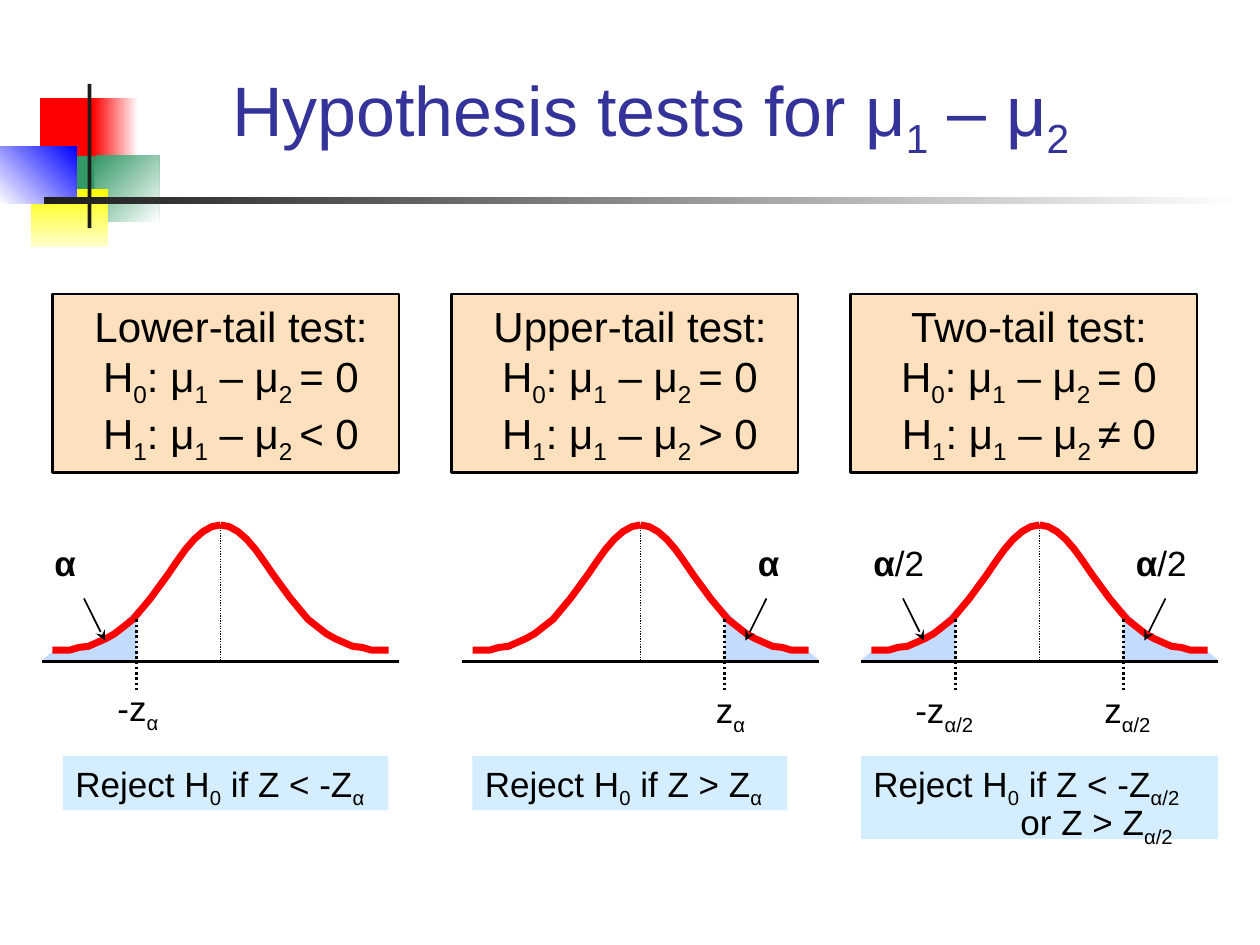
from dataclasses import dataclass

import pptx
import pptx.dml.color
import pptx.enum.dml
import pptx.enum.shapes
import pptx.enum.text
import pptx.oxml
import pptx.oxml.ns
import pptx.util

Pt = pptx.util.Pt
Align = pptx.enum.text.PP_ALIGN
Dash = pptx.enum.dml.MSO_LINE


@dataclass(frozen=True)
class Theme:
    font: str = "Arial"
    title_size: float = 40
    hypothesis_size: float = 24
    note_size: float = 20
    title: str = "333399"
    ink: str = "000000"
    hypothesis: str = "FDE0BD"
    tail: str = "C3DBFF"
    curve: str = "FF0000"
    rule: str = "D5EEFF"


@dataclass(frozen=True)
class Block:
    left: float
    top: float
    width: float
    height: float
    colors: tuple[str, ...]
    angle: float = 0


@dataclass(frozen=True)
class Tail:
    side: int
    area: str
    area_left: float
    area_width: float
    arrow: float
    cutoff: str
    cutoff_left: float
    cutoff_top: float = 390


@dataclass(frozen=True)
class Test:
    name: str
    relation: str
    card_left: float
    center: float
    tails: tuple[Tail, ...]
    rule: str
    rule_left: float
    rule_width: float
    rule_height: float = 31
    second_rule: str = ""


THEME = Theme()
AXIS_Y, PEAK_Y, AXIS_REACH, CUTOFF = 378, 300, 102, 48
BELL = [(96, 371.5), (86, 371.5), (81, 370), (75.5, 369.4), (70.5, 367.2), (65.5, 365),
        (60.5, 362.2), (50, 354), (40, 342), (30, 328.3), (25, 321), (20, 314),
        (15, 308.2), (10, 303.8), (5, 301), (0, PEAK_Y)]
TAIL_AREA = [(AXIS_REACH, 377.3), (97, 373), (79, 369.4), (70, 365.8), (59, 359.3),
             (CUTOFF, 347.8), (CUTOFF, AXIS_Y), (AXIS_REACH, AXIS_Y)]
EMBLEM = [
    Block(23, 56, 35, 37.5, ("FF0000",)),
    Block(53, 56, 26, 37.5, ("FF0000", "FFFFFF")),
    Block(54, 89, 37, 37.5, ("339966", "FFFFFF"), 315),
    Block(31, 89, 23, 37.5, ("339966",)),
    Block(18, 108, 44, 33, ("FFFF00", "FFFFCC"), 270),
    Block(0, 83.5, 44, 33, ("FFFFFF", "0000FF"), 45),
    Block(50, 48, 2.3, 82.5, ("1C1C1C",)),
    Block(25, 112.5, 685, 4.2, ("1C1C1C", "FFFFFF")),
]
TESTS = [
    Test("Lower-tail test:", "< 0", 30, 126,
         (Tail(-1, "*α*", 24, 30, 78, "-z~α~", 60, 389),),
         "Reject H~0~ if Z < -Z~α~", 36, 186),
    Test("Upper-tail test:", "> 0", 258, 366,
         (Tail(1, "*α*", 426, 30, 72, "z~α~", 402),),
         "Reject H~0~ if Z > Z~α~", 270, 180),
    Test("Two-tail test:", "≠ 0", 486, 594,
         (Tail(-1, "*α*/2", 492, 66, 78, "-z~α/2~", 516),
          Tail(1, "*α*/2", 642, 66, 72, "z~α/2~", 624)),
         "Reject H~0~ if Z < -Z~α/2~", 492, 204, 47.5, "or Z > Z~α/2~"),
]


def rgb(color: str):
    return pptx.dml.color.RGBColor.from_string(color)


def write(paragraph, text: str, *, size: float, color: str = THEME.ink,
          align=Align.LEFT, before: float = 0, indent: float = 0, leading: float = 0) -> None:
    paragraph.alignment = align
    paragraph.space_before = Pt(before)
    if leading:
        paragraph.line_spacing = Pt(leading)
    if indent:
        paragraph._p.get_or_add_pPr().set("marL", str(Pt(indent)))
    for sub_index, section in enumerate(text.split("~")):
        for bold_index, words in enumerate(section.split("*")):
            if words:
                run = paragraph.add_run()
                run.text = words
                run.font.name = THEME.font
                run.font.size = Pt(size)
                run.font.bold = bold_index % 2 == 1
                run.font.color.rgb = rgb(color)
                if sub_index % 2:
                    run._r.get_or_add_rPr().set("baseline", "-25000")


def text_frame(slide, left: float, top: float, width: float, height: float):
    frame = slide.shapes.add_textbox(Pt(left), Pt(top), Pt(width), Pt(height)).text_frame
    frame.word_wrap = True
    return frame


def draw_block(slide, block: Block):
    shape = slide.shapes.add_shape(pptx.enum.shapes.MSO_SHAPE.RECTANGLE, Pt(block.left),
                                   Pt(block.top), Pt(block.width), Pt(block.height))
    shape.shadow.inherit = False
    shape.line.fill.background()
    if len(block.colors) == 1:
        shape.fill.solid()
        shape.fill.fore_color.rgb = rgb(block.colors[0])
    else:
        shape.fill.gradient()
        shape.fill.gradient_angle = block.angle
        for stop, color in zip(shape.fill.gradient_stops, block.colors):
            stop.color.rgb = rgb(color)
    return shape


def draw_line(slide, start: tuple, end: tuple, weight: float, dash=None, arrow=False) -> None:
    line = slide.shapes.add_connector(pptx.enum.shapes.MSO_CONNECTOR.STRAIGHT,
                                      *map(Pt, start + end))
    line.line.color.rgb = rgb(THEME.ink)
    line.line.width = Pt(weight)
    if dash:
        line.line.dash_style = dash
    if arrow:
        head = pptx.oxml.ns.qn("a:tailEnd")
        line.line._get_or_add_ln().makeelement(head, {})
        line.line._get_or_add_ln().append(
            line.line._get_or_add_ln().makeelement(head, {"type": "stealth"}))
    properties = line._element.spPr
    properties.append(properties.makeelement(pptx.oxml.ns.qn("a:effectLst"), {}))


def draw_outline(slide, center: float, side: int, profile: list, closed: bool):
    points = [(Pt(center + side * x), Pt(y)) for x, y in profile]
    builder = slide.shapes.build_freeform(*points[0])
    builder.add_line_segments(points[1:], close=closed)
    shape = builder.convert_to_shape()
    shape.shadow.inherit = False
    if closed:
        shape.fill.solid()
        shape.fill.fore_color.rgb = rgb(THEME.tail)
        shape.line.fill.background()
    else:
        shape.fill.background()
        shape.line.color.rgb = rgb(THEME.curve)
        shape.line.width = Pt(4)


def draw_hypotheses(slide, test: Test) -> None:
    card = draw_block(slide, Block(test.card_left, 168, 198, 102, (THEME.hypothesis,)))
    card.line.color.rgb = rgb(THEME.ink)
    card.line.width = Pt(1.5)
    frame = text_frame(slide, test.card_left - 6, 168, 216, 99)
    lines = (test.name, "H~0~: μ~1~ – μ~2 ~= 0", f"H~1~: μ~1~ – μ~2 ~{test.relation}")
    for index, line in enumerate(lines):
        paragraph = frame.add_paragraph() if index else frame.paragraphs[0]
        write(paragraph, line, size=THEME.hypothesis_size, align=Align.CENTER)


def draw_tail_labels(slide, center: float, tail: Tail) -> None:
    cutoff = center + tail.side * CUTOFF
    draw_line(slide, (cutoff, 354), (cutoff, 396), 1.5, Dash.ROUND_DOT)
    draw_line(slide, (center + tail.side * tail.arrow, 342),
              (center + tail.side * (tail.arrow - 12), 366), 1, arrow=True)
    for text, left, top, width in ((tail.area, tail.area_left, 306, tail.area_width),
                                   (tail.cutoff, tail.cutoff_left, tail.cutoff_top, 78)):
        frame = text_frame(slide, left, top, width, 31)
        write(frame.paragraphs[0], text, size=THEME.note_size, before=2)


def draw_distribution(slide, test: Test) -> None:
    draw_line(slide, (test.center, PEAK_Y), (test.center, AXIS_Y), 0.75, Dash.ROUND_DOT)
    for tail in test.tails:
        draw_outline(slide, test.center, tail.side, TAIL_AREA, closed=True)
    for side in (-1, 1):
        draw_outline(slide, test.center, side, BELL, closed=False)
    draw_line(slide, (test.center - AXIS_REACH, AXIS_Y), (test.center + AXIS_REACH, AXIS_Y), 2)
    for tail in test.tails:
        draw_tail_labels(slide, test.center, tail)


def draw_rule(slide, test: Test) -> None:
    frame = draw_block(slide, Block(test.rule_left, 432, test.rule_width, test.rule_height,
                                    (THEME.rule,))).text_frame
    frame.word_wrap = True
    frame.vertical_anchor = pptx.enum.text.MSO_ANCHOR.TOP
    write(frame.paragraphs[0], test.rule, size=THEME.note_size, before=2)
    if test.second_rule:
        write(frame.add_paragraph(), test.second_rule, size=THEME.note_size,
              before=2, indent=84, leading=20)


def draw_title(slide) -> None:
    title = slide.shapes.title
    title.left, title.top, title.width, title.height = map(Pt, (90, 24, 570, 72))
    title.text_frame.auto_size = pptx.enum.text.MSO_AUTO_SIZE.NONE
    title.text_frame.vertical_anchor = pptx.enum.text.MSO_ANCHOR.BOTTOM
    write(title.text_frame.paragraphs[0], "Hypothesis tests for μ~1~ – μ~2 ~",
          size=THEME.title_size, color=THEME.title, align=Align.CENTER)


def main() -> None:
    deck = pptx.Presentation()
    deck.slide_width, deck.slide_height = Pt(720), Pt(540)
    slide = deck.slides.add_slide(deck.slide_layouts[5])
    for block in EMBLEM:
        draw_block(slide, block)
    draw_title(slide)
    for test in TESTS:
        draw_hypotheses(slide, test)
        draw_distribution(slide, test)
        draw_rule(slide, test)
    deck.save("out.pptx")


if __name__ == "__main__":
    main()
